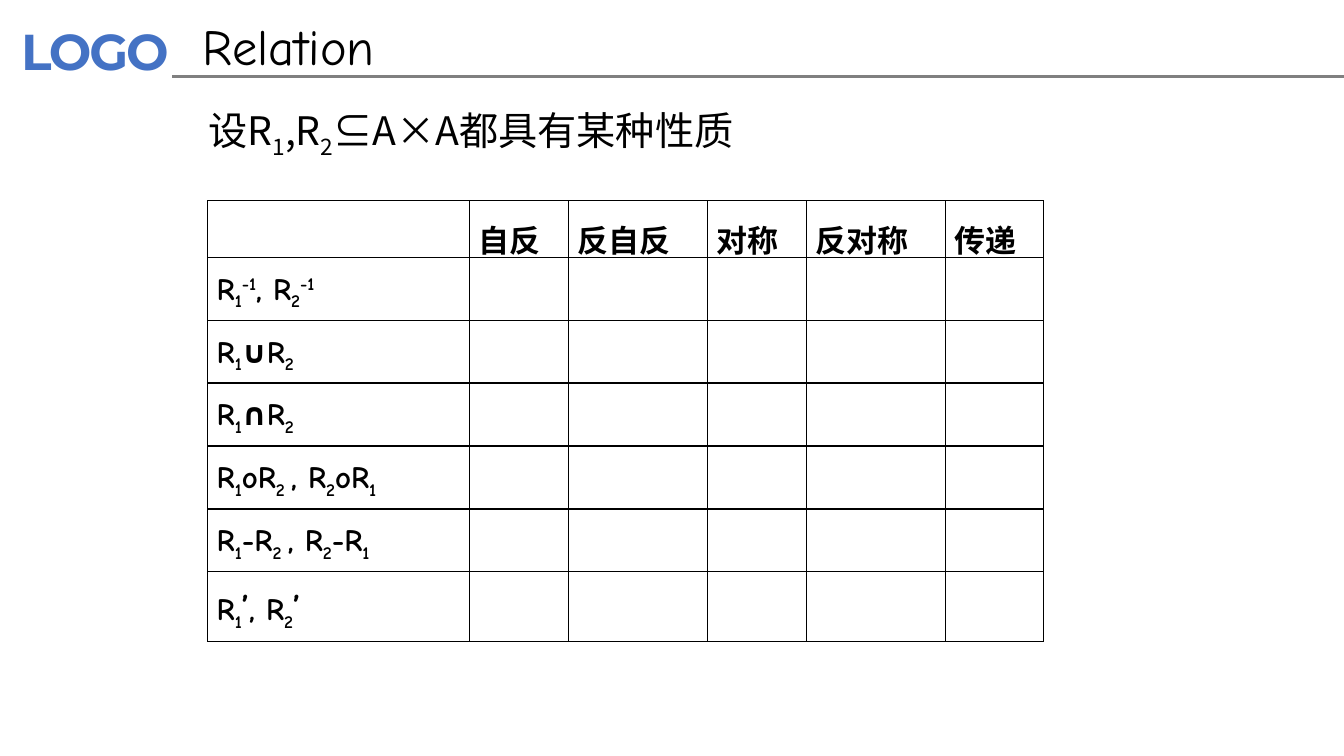
import pptx
import pptx.util
import pptx.dml.color
import pptx.enum.shapes
import pptx.enum.text
import pptx.oxml
import pptx.oxml.ns
import lxml.etree

Inches = pptx.util.Inches
Pt = pptx.util.Pt
qn = pptx.oxml.ns.qn
BASELINES = {"_": "-25000", "^": "30000"}


def color(value):
    return pptx.dml.color.RGBColor.from_string(value)


def write(paragraph, markup, size, font, ink="000000", bold=False):
    for part in markup.split("|"):
        run = paragraph.add_run()
        run.text = part.lstrip("_^")
        run.font.size = Pt(25.9 if part == "’" else size)
        run.font.name = font
        run.font.bold = bold
        run.font.color.rgb = color(ink)
        properties = run.font._element
        east_asian = lxml.etree.SubElement(properties, qn("a:ea"))
        east_asian.set("typeface", "Noto Sans CJK SC")
        if part[0] in BASELINES:
            properties.set("baseline", BASELINES[part[0]])


presentation = pptx.Presentation()
presentation.slide_width = Inches(13.33)
presentation.slide_height = Inches(7.5)
slide = presentation.slides.add_slide(presentation.slide_layouts[5])

title = slide.shapes.title
title.left, title.top, title.width, title.height = map(Inches, (1.91, 0.1, 6.3, 0.71))
title.text_frame.vertical_anchor = pptx.enum.text.MSO_ANCHOR.MIDDLE
title.text_frame.paragraphs[0].alignment = pptx.enum.text.PP_ALIGN.LEFT
write(title.text_frame.paragraphs[0], "Relation", 36, "Comic Neue")

logo = slide.shapes.add_textbox(Inches(0.08), Inches(0.13), Inches(1.86), Inches(0.74))
logo.text_frame.word_wrap = True
logo.text_frame.margin_left = logo.text_frame.margin_right = Inches(0.13)
logo.text_frame.margin_top = logo.text_frame.margin_bottom = Inches(0.07)
logo_line = logo.text_frame.paragraphs[0]
write(logo_line, "LOGO", 36, "Montserrat", "4472C4", True)
logo_line.runs[0].font._element.set("spc", "-150")

header_rule = slide.shapes.add_connector(
    pptx.enum.shapes.MSO_CONNECTOR.STRAIGHT,
    Inches(1.71), Inches(0.76), Inches(13.33), Inches(0.76))
header_rule.line.color.rgb = color("808080")
header_rule.line.width = Pt(2)
lxml.etree.SubElement(header_rule._element.spPr, qn("a:effectLst"))

premise = slide.shapes.add_textbox(Inches(1.72), Inches(1.01), Inches(9.31), Inches(4.85))
premise.text_frame.word_wrap = True
premise_line = premise.text_frame.paragraphs[0]
premise_line.line_spacing = 0.9
premise_line.space_before = Pt(10)
premise_line._p.get_or_add_pPr().set("marL", str(Inches(0.25)))
write(premise_line, "设R|_1|,R|_2|⊆A×A都具有某种性质", 28, "Noto Sans CJK SC")

properties_row = ["", "自反", "反自反", "对称", "反对称", "传递"]
operations = [
    "R|_1|^-1|, R|_2|^-1",
    "R|_1|∪R|_2",
    "R|_1|∩R|_2",
    "R|_1|oR|_2 |, R|_2|oR|_1",
    "R|_1|-R|_2 |, R|_2|-R|_1",
    "R|_1|’|, R|_2|’",
]
column_widths = [2.6, 0.98, 1.38, 0.98, 1.38, 0.97]
row_heights = [0.55] + [0.62] * 5 + [0.69]
closure = slide.shapes.add_table(
    len(row_heights), len(column_widths),
    Inches(2.06), Inches(1.99), Inches(8.29), Inches(4.32)).table
closure.first_row = closure.horz_banding = False
for column, width in zip(closure.columns, column_widths):
    column.width = Inches(width)
for row, height in zip(closure.rows, row_heights):
    row.height = Inches(height)

contents = [properties_row] + [[operation] + [""] * 5 for operation in operations]
for row, markups in zip(closure.rows, contents):
    for cell, markup in zip(row.cells, markups):
        cell.margin_left = cell.margin_right = Inches(0.09)
        cell.margin_top = cell.margin_bottom = Inches(0.05)
        cell.fill.background()
        for position, side in enumerate(("a:lnL", "a:lnR", "a:lnT", "a:lnB")):
            border = pptx.oxml.parse_xml(
                f'<{side} xmlns:a="http://schemas.openxmlformats.org/drawingml/2006/main" '
                'w="12700"><a:solidFill><a:srgbClr val="000000"/></a:solidFill>'
                f'</{side}>')
            cell._tc.get_or_add_tcPr().insert(position, border)
        if markup:
            entry = cell.text_frame.paragraphs[0]
            entry.line_spacing = 1.25
            entry.space_before = Pt(4.4)
            write(entry, markup, 22.1, "Comic Neue", bold=True)

presentation.save("out.pptx")
